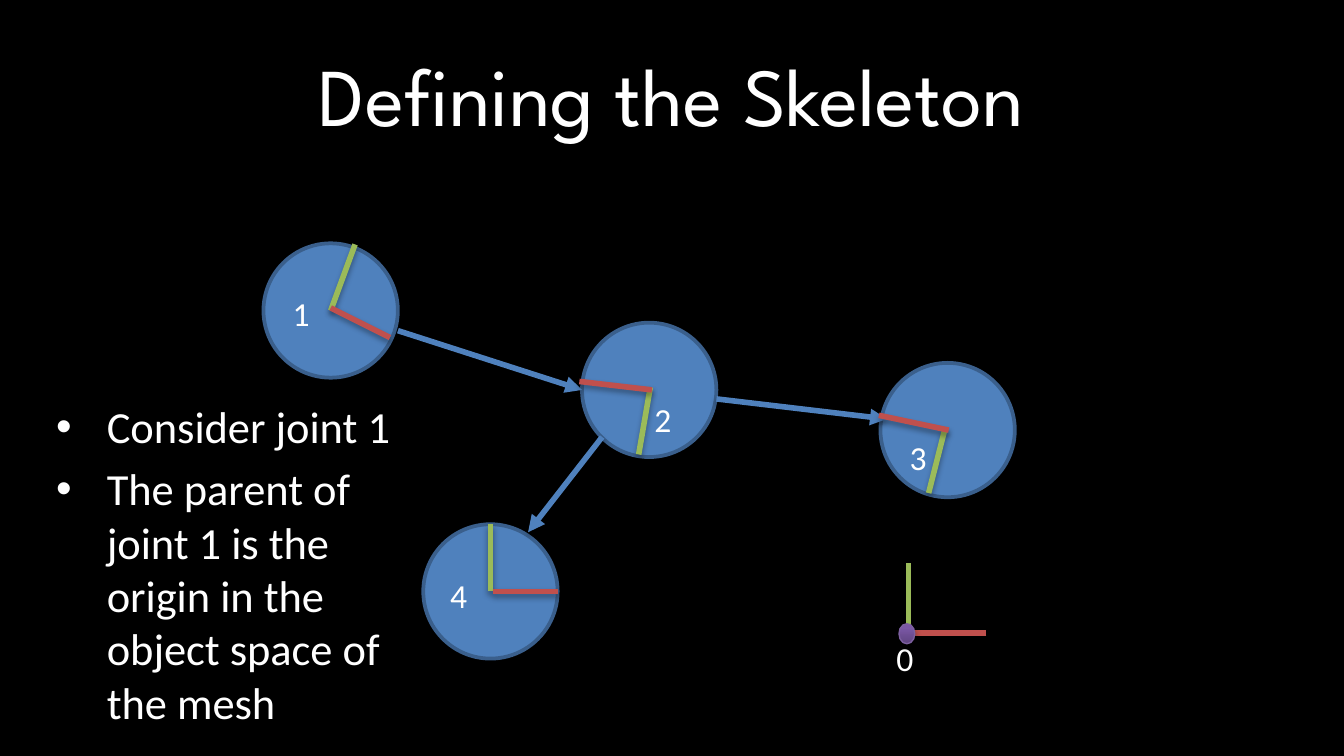
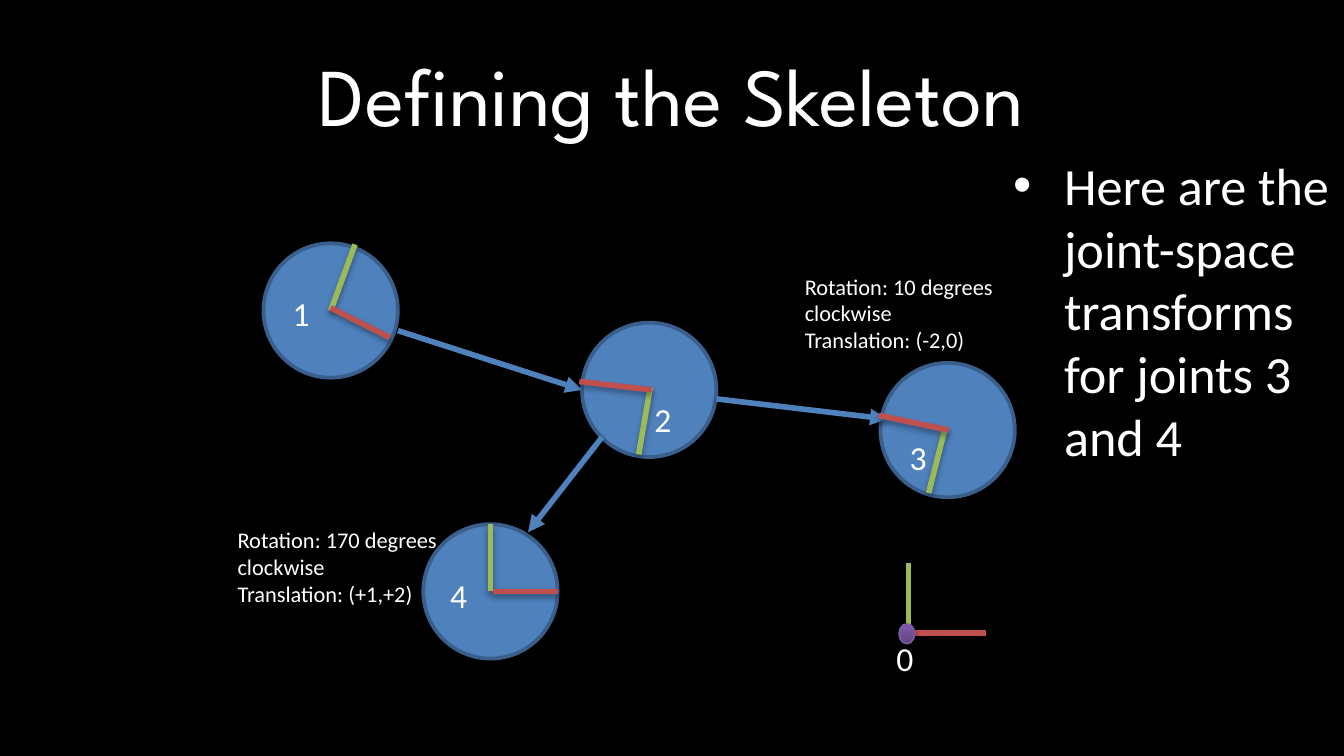
from lxml.etree import SubElement
from pptx import Presentation
from pptx.dml.color import RGBColor
from pptx.enum.shapes import MSO_CONNECTOR as Connector, MSO_SHAPE as Shape
from pptx.enum.text import MSO_ANCHOR as Anchor, MSO_AUTO_SIZE as AutoSize, PP_ALIGN as Align
from pptx.oxml.ns import qn
from pptx.util import Cm, Pt

COLORS = {
    "background": "000000", "text": "FFFFFF",
    "joint": "4F81BD", "joint_edge": "3A5F8C",
    "x_axis": "C0504D", "y_axis": "9BBB59",
    "origin_dark": "5F4480", "origin_light": "7B58A6", "origin_edge": "7D60A0",
    "shadow": "000000",
}
TITLE_FONT, BODY_FONT = "League Spartan", "Calibri"
JOINT_SIZE = 2.54

# Left and top of each joint's circle, in cm
JOINTS = [(4.98, 4.6), (8, 9.91), (11, 6.1), (16.64, 6.86)]
# Arrows from parent joint to child joint
BONES = [
    ((7.52, 6.25), (11, 7.37)),
    ((11.38, 8.26), (9.98, 10.06)),
    ((13.54, 7.54), (16.76, 7.92)),
]
# Label, label box, y axis, x axis
FRAMES = [
    ("1", (5.28, 5.41, 0.64, 1.02), ((6.25, 5.87), (6.71, 4.62)), ((7.37, 6.38), (6.25, 5.82))),
    ("2", (12.12, 7.42, 0.56, 1.02), ((12.07, 8.59), (12.29, 7.32)), ((12.32, 7.37), (10.95, 7.21))),
    ("3", (16.94, 8.13, 0.64, 1.02), ((17.55, 9.32), (17.86, 8.1)), ((17.93, 8.13), (16.61, 7.85))),
    ("4", (8.26, 10.74, 0.56, 1.02), ((9.27, 11.18), (9.27, 9.91)), ((10.54, 11.18), (9.32, 11.18))),
    ("0", (16.69, 11.94, 1.27, 1.02), ((17.17, 12.04), (17.17, 10.64)), ((18.64, 11.96), (17.17, 11.96))),
]


def color(name):
    return RGBColor.from_string(COLORS[name])


def add_shadow(properties):
    effects = properties.find(qn("a:effectLst"))
    if effects is None:
        effects = SubElement(properties, qn("a:effectLst"))
    outer = SubElement(effects, qn("a:outerShdw"), blurRad=str(Pt(3.1)), dist=str(Pt(1.8)),
                       dir="5400000", rotWithShape="0")
    tint = SubElement(outer, qn("a:srgbClr"), val=COLORS["shadow"])
    SubElement(tint, qn("a:alpha"), val="35000")


class SkeletonDeck:
    def __init__(self):
        self.deck = Presentation()
        self.deck.slide_width, self.deck.slide_height = Cm(25.4), Cm(14.29)
        self.page = None

    def new_page(self, title):
        self.page = self.deck.slides.add_slide(self.deck.slide_layouts[6])
        fill = self.page.background.fill
        fill.solid()
        fill.fore_color.rgb = color("background")
        frame = self.text((1.27, 0.58, 22.86, 2.39), [title], 44, TITLE_FONT)
        frame.vertical_anchor = Anchor.MIDDLE
        frame.paragraphs[0].alignment = Align.CENTER

    def text(self, place, lines, size, font=BODY_FONT, bullets=False):
        box = self.page.shapes.add_textbox(*map(Cm, place))
        frame = box.text_frame
        frame.word_wrap = True
        for index, line in enumerate(lines):
            para = frame.add_paragraph() if index else frame.paragraphs[0]
            if bullets:
                self.bullet(para)
                if index:
                    para.space_before = Pt(size * 0.2)
            span = para.add_run()
            span.text = line
            span.font.name = font
            span.font.size = Pt(size)
            span.font.color.rgb = color("text")
        return frame

    def bullet(self, para):
        properties = para._p.get_or_add_pPr()
        properties.set("marL", str(Cm(0.96)))
        properties.set("indent", str(-Cm(0.96)))
        SubElement(properties, qn("a:buFont"), typeface="Arial")
        SubElement(properties, qn("a:buChar"), char="•")

    def note(self, place, lines, size=12):
        self.text(place, lines, size).auto_size = AutoSize.SHAPE_TO_FIT_TEXT

    def ellipse(self, place, edge, weight):
        shape = self.page.shapes.add_shape(Shape.OVAL, *map(Cm, place))
        shape.line.color.rgb = color(edge)
        shape.line.width = Pt(weight)
        shape.shadow.inherit = False
        return shape

    def joint(self, left, top):
        circle = self.ellipse((left, top, JOINT_SIZE, JOINT_SIZE), "joint_edge", 2)
        circle.fill.solid()
        circle.fill.fore_color.rgb = color("joint")

    def origin(self):
        dot = self.ellipse((16.99, 11.79, 0.3, 0.38), "origin_edge", 0.75)
        dot.fill.gradient()
        dot.fill.gradient_angle = 90
        stops = zip(dot.fill.gradient_stops, ("origin_dark", "origin_light"), (0, 0.8))
        for stop, name, position in stops:
            stop.color.rgb = color(name)
            stop.position = position
        add_shadow(dot._element.spPr)

    def line(self, start, end, name, arrow=False):
        line = self.page.shapes.add_connector(Connector.STRAIGHT, *map(Cm, start + end))
        line.line.color.rgb = color(name)
        line.line.width = Pt(3)
        if arrow:
            SubElement(line.line._get_or_add_ln(), qn("a:tailEnd"), type="triangle")
        add_shadow(line._element.spPr)

    def skeleton(self):
        for corner in JOINTS:
            self.joint(*corner)
        for start, end in BONES:
            self.line(start, end, "joint", arrow=True)
        for label, place, y_axis, x_axis in FRAMES:
            self.line(*y_axis, "y_axis")
            self.line(*x_axis, "x_axis")
            self.note(place, [label], 18)
        self.origin()


def main():
    show = SkeletonDeck()

    # Slide 1: parent of joint 1
    show.new_page("Defining the Skeleton")
    show.text((0.81, 7.42, 6.83, 6.3), [
        "Consider joint 1",
        "The parent of joint 1 is the origin in the object space of the mesh",
    ], 23.8, bullets=True)
    show.skeleton()

    # Slide 2: transforms of joints 3 and 4
    show.new_page("Defining the Skeleton")
    show.skeleton()
    show.text((18.9, 2.77, 6.83, 6.3),
              ["Here are the joint-space transforms for joints 3 and 4"], 28, bullets=True)
    show.note((14.96, 5.03, 4.45, 1.8),
              ["Rotation: 10 degrees clockwise", "Translation: (-2,0)"])
    show.note((4.24, 9.83, 4.45, 1.8),
              ["Rotation: 170 degrees clockwise", "Translation: (+1,+2)"])

    show.deck.save("out.pptx")


if __name__ == "__main__":
    main()
